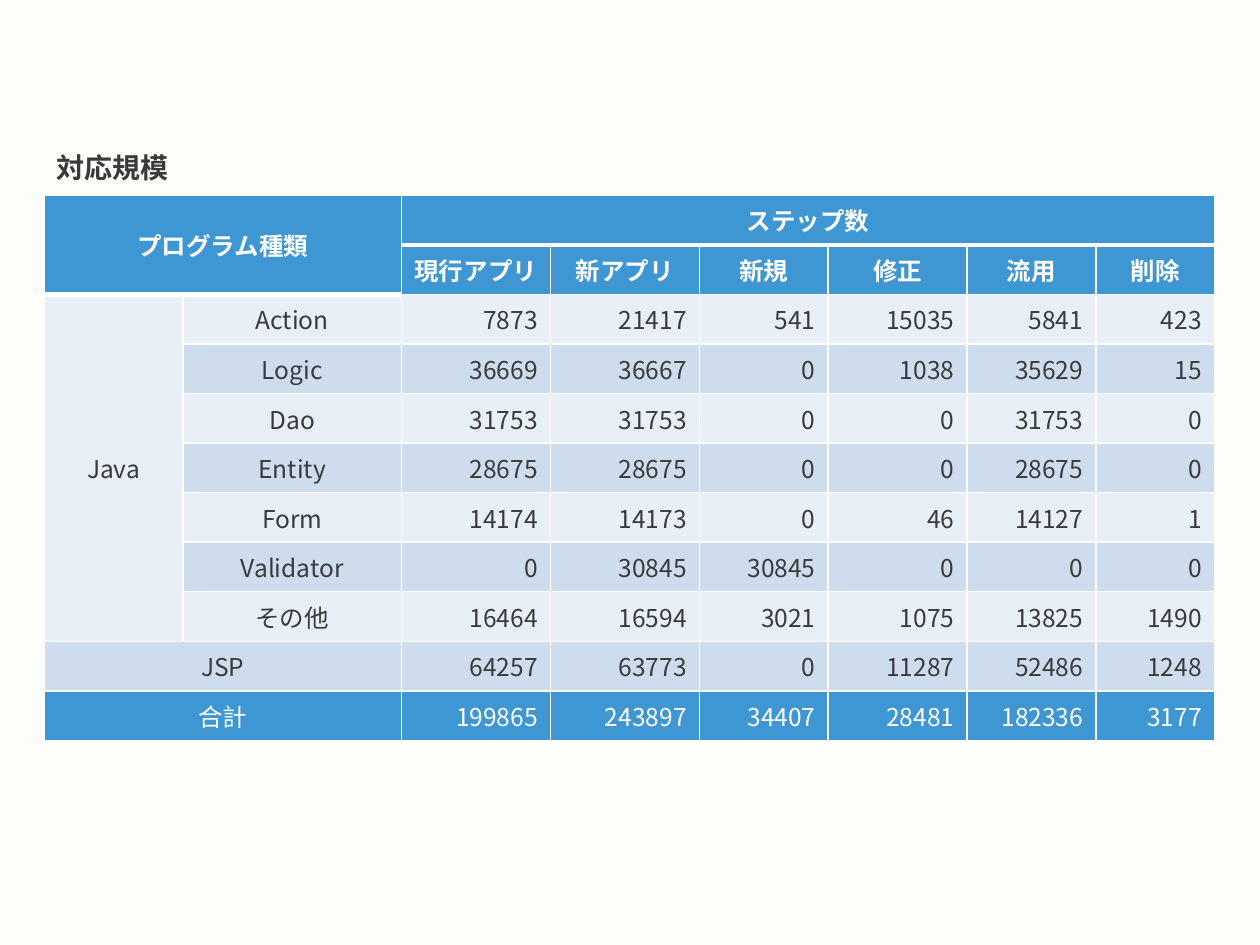
"""Build a slide with a table of program sizes in steps by program type."""
import dataclasses
import typing

import pptx
import pptx.dml.color
import pptx.enum.text
import pptx.oxml
import pptx.oxml.ns
import pptx.util

ALIGN = pptx.enum.text.PP_ALIGN
MIDDLE = pptx.enum.text.MSO_ANCHOR.MIDDLE
FONT = "Noto Sans CJK JP"
INK, WHITE, BLUE = "3A3A3A", "FFFFFF", "3E96D2"
BANDS = ("E8EFF7", "CEDDEE")
SLIDE_WIDTH, SLIDE_HEIGHT = 10, 7.5
LEFT, TABLE_WIDTH, TABLE_HEIGHT = 0.35, 9.29, 4.33
COLUMN_WEIGHTS = (1.1, 1.73, 1.18, 1.18, 1.02, 1.1, 1.02, 0.94)
LABEL_COLUMNS, HEADER_ROWS = 2, 2
THIN, THICK = 1, 3


@dataclasses.dataclass(frozen=True)
class ProgramRow:
    group: str
    kind: str
    steps: tuple[int, ...]


@dataclasses.dataclass(frozen=True)
class Span:
    row: int
    column: int
    rows: int
    columns: int


STEP_HEADERS = ("現行アプリ", "新アプリ", "新規", "修正", "流用", "削除")
PROGRAMS = (
    ProgramRow("Java", "Action", (7873, 21417, 541, 15035, 5841, 423)),
    ProgramRow("", "Logic", (36669, 36667, 0, 1038, 35629, 15)),
    ProgramRow("", "Dao", (31753, 31753, 0, 0, 31753, 0)),
    ProgramRow("", "Entity", (28675, 28675, 0, 0, 28675, 0)),
    ProgramRow("", "Form", (14174, 14173, 0, 46, 14127, 1)),
    ProgramRow("", "Validator", (0, 30845, 30845, 0, 0, 0)),
    ProgramRow("", "その他", (16464, 16594, 3021, 1075, 13825, 1490)),
    ProgramRow("JSP", "", (64257, 63773, 0, 11287, 52486, 1248)),
    ProgramRow("合計", "", (199865, 243897, 34407, 28481, 182336, 3177)),
)
CONTENT = [
    ("プログラム種類", "", "ステップ数", "", "", "", "", ""),
    ("", "", *STEP_HEADERS),
    *((row.group, row.kind, *map(str, row.steps)) for row in PROGRAMS),
]
TOTAL_ROW = len(CONTENT) - 1
SPANS = (
    Span(0, 0, HEADER_ROWS, LABEL_COLUMNS),
    Span(0, LABEL_COLUMNS, 1, len(STEP_HEADERS)),
    Span(HEADER_ROWS, 0, 7, 1),
    Span(TOTAL_ROW - 1, 0, 1, LABEL_COLUMNS),
    Span(TOTAL_ROW, 0, 1, LABEL_COLUMNS),
)


def colour(value: str) -> pptx.dml.color.RGBColor:
    return pptx.dml.color.RGBColor.from_string(value)


def assign(target: typing.Any, values: dict[str, typing.Any]) -> None:
    for name, value in values.items():
        setattr(target, name, value)


def paint(fill: typing.Any, value: str) -> None:
    fill.solid()
    fill.fore_color.rgb = colour(value)


def write(frame: typing.Any, words: str, size: int, ink: str, bold: bool, align: ALIGN) -> None:
    paragraph = frame.paragraphs[0]
    paragraph.alignment = align
    run = paragraph.add_run()
    run.text = words
    assign(run.font, {"name": FONT, "size": pptx.util.Pt(size), "bold": bold})
    run.font.color.rgb = colour(ink)
    east_asian = pptx.oxml.parse_xml(
        f'<a:ea {pptx.oxml.ns.nsdecls("a")} typeface="{FONT}"/>')
    run.font._element.find(pptx.oxml.ns.qn("a:latin")).addnext(east_asian)


def rule_cell(cell: typing.Any, widths: dict[str, int]) -> None:
    properties = cell._tc.get_or_add_tcPr()
    for side, width in widths.items():
        properties.append(pptx.oxml.parse_xml(
            f'<a:ln{side} {pptx.oxml.ns.nsdecls("a")} w="{pptx.util.Pt(width)}">'
            f'<a:solidFill><a:srgbClr val="{WHITE}"/></a:solidFill></a:ln{side}>'))


def rule_width(boundary: int, column: int) -> int:
    thick_boundary = HEADER_ROWS if column < LABEL_COLUMNS else 1
    return THICK if boundary == thick_boundary else THIN


def format_cell(cell: typing.Any, row: int, column: int, words: str) -> None:
    header = row < HEADER_ROWS
    dark = header or row == TOTAL_ROW
    rule_cell(cell, {"L": THIN, "R": THIN, "T": rule_width(row, column),
                     "B": rule_width(row + 1, column)})
    paint(cell.fill, BLUE if dark else BANDS[(row - HEADER_ROWS) % 2])
    cell.vertical_anchor = MIDDLE
    if words:
        align = ALIGN.CENTER if header or column < LABEL_COLUMNS else ALIGN.RIGHT
        write(cell.text_frame, words, 14, WHITE if dark else INK, header, align)


def add_title(slide: typing.Any) -> None:
    heading = slide.shapes.title
    inches = pptx.util.Inches
    assign(heading, {"left": inches(LEFT), "top": inches(1.11),
                     "width": inches(4.65), "height": inches(0.43)})
    assign(heading.text_frame, {"vertical_anchor": MIDDLE, "word_wrap": True})
    write(heading.text_frame, "対応規模", 16, INK, True, ALIGN.LEFT)


def add_steps_table(slide: typing.Any) -> None:
    inches = pptx.util.Inches
    steps = slide.shapes.add_table(
        len(CONTENT), len(COLUMN_WEIGHTS), inches(LEFT), inches(1.55),
        inches(TABLE_WIDTH), inches(TABLE_HEIGHT)).table
    assign(steps, {"first_row": False, "horz_banding": False})
    for column, weight in zip(steps.columns, COLUMN_WEIGHTS):
        column.width = inches(TABLE_WIDTH * weight / sum(COLUMN_WEIGHTS))
    for row in steps.rows:
        row.height = inches(TABLE_HEIGHT / len(CONTENT))
    for span in SPANS:
        last = steps.cell(span.row + span.rows - 1, span.column + span.columns - 1)
        steps.cell(span.row, span.column).merge(last)
    for row, line in enumerate(CONTENT):
        for column, words in enumerate(line):
            format_cell(steps.cell(row, column), row, column, words)


def main() -> None:
    deck = pptx.Presentation()
    assign(deck, {"slide_width": pptx.util.Inches(SLIDE_WIDTH),
                  "slide_height": pptx.util.Inches(SLIDE_HEIGHT)})
    slide = deck.slides.add_slide(deck.slide_layouts.get_by_name("Title Only"))
    paint(slide.background.fill, "FFFDFA")
    add_title(slide)
    add_steps_table(slide)
    deck.save("out.pptx")


main()
